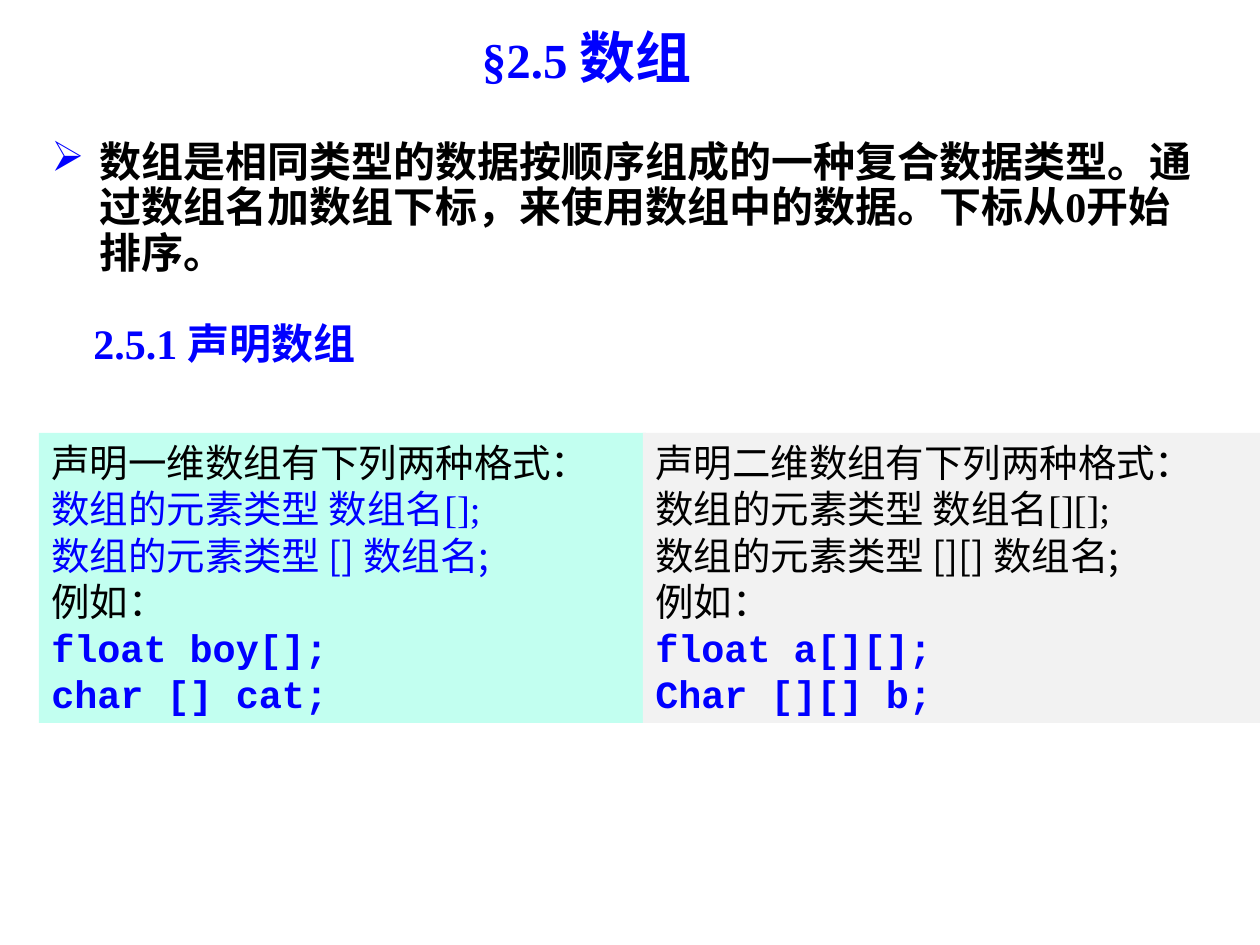
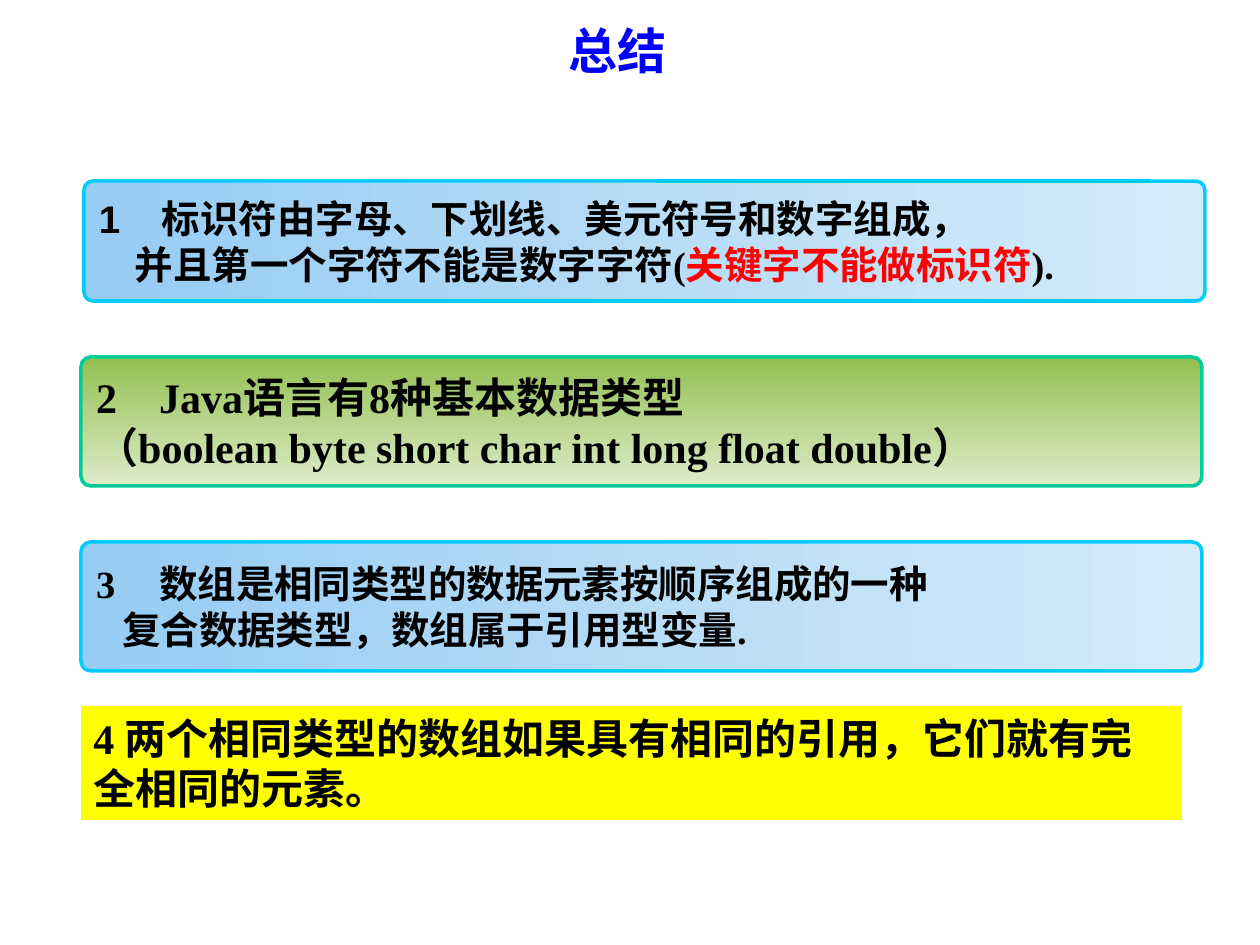
"""Build two lecture slides on arrays: declarations and a chapter summary."""
from lxml import etree
from pptx import Presentation
from pptx.dml.color import RGBColor
from pptx.enum.shapes import MSO_SHAPE
from pptx.enum.text import MSO_ANCHOR, PP_ALIGN
from pptx.oxml.ns import qn
from pptx.util import Pt

PIXEL = 914400 / 126
RECTANGLE = MSO_SHAPE.RECTANGLE
ROUNDED = MSO_SHAPE.ROUNDED_RECTANGLE
TOP, MIDDLE = MSO_ANCHOR.TOP, MSO_ANCHOR.MIDDLE
LEFT, CENTER = PP_ALIGN.LEFT, PP_ALIGN.CENTER
color = RGBColor.from_string

SERIF, SANS, CODE, CHINESE = "Times New Roman", "Arial", "Courier New", "Noto Sans CJK SC"
BLACK, BLUE, RED = "000000", "0000FF", "FF0000"
SKY = ("97CCF3", "D5EBFA")
LEAF = ("93C052", "DDEBC8")


def add_box(slide, place, kind=RECTANGLE, fills=(), angle=0, outline=None, anchor=TOP):
    shape = slide.shapes.add_shape(kind, *(round(value * PIXEL) for value in place))
    shape.shadow.inherit = False
    if len(fills) == 2:
        shape.fill.gradient()
        shape.fill.gradient_angle = angle
        for stop, value in zip(shape.fill.gradient_stops, fills):
            stop.color.rgb = color(value)
    elif fills:
        shape.fill.solid()
        shape.fill.fore_color.rgb = color(fills[0])
    else:
        shape.fill.background()
    if outline:
        shape.line.color.rgb = color(outline)
        shape.line.width = Pt(2)
    else:
        shape.line.fill.background()
    if kind == ROUNDED:
        shape.adjustments[0] = 0.076
    shape.text_frame.word_wrap = True
    shape.text_frame.vertical_anchor = anchor
    return shape.text_frame


def add_text(frame, *runs, size=22, font=SERIF, ink=BLACK, bold=True, align=LEFT,
             margin=0, hanging=0, spacing=1.0, before=0, bullet=None, bullet_ink=BLACK, tab=0):
    first = frame.paragraphs[0]
    paragraph = frame.add_paragraph() if first.runs else first
    paragraph.alignment = align
    paragraph.line_spacing = spacing
    paragraph.space_before = Pt(before)
    properties = paragraph._p.get_or_add_pPr()
    properties.set("marL", str(round(margin * PIXEL)))
    properties.set("indent", str(round(-hanging * PIXEL)))
    if bullet:
        tag, attributes = bullet
        bullet_color = etree.SubElement(properties, qn("a:buClr"))
        etree.SubElement(bullet_color, qn("a:srgbClr"), val=bullet_ink)
        etree.SubElement(properties, qn(tag), **attributes)
    else:
        etree.SubElement(properties, qn("a:buNone"))
    if tab:
        stops = etree.SubElement(properties, qn("a:tabLst"))
        etree.SubElement(stops, qn("a:tab"), pos=str(round(tab * PIXEL)), algn="l")
    for text, changes in runs:
        style = {"size": size, "font": font, "ink": ink} | changes
        run = paragraph.add_run()
        run.text = text
        run.font.size = Pt(style["size"])
        run.font.bold = bold
        run.font.name = style["font"]
        run.font.color.rgb = color(style["ink"])
        etree.SubElement(run._r.get_or_add_rPr(), qn("a:ea"), typeface=CHINESE)


presentation = Presentation()
presentation.slide_width = round(1260 * PIXEL)
presentation.slide_height = round(945 * PIXEL)
blank = presentation.slide_layouts[6]
arrays_slide, summary_slide = (presentation.slides.add_slide(blank) for _ in range(2))

titles = [
    (arrays_slide, (134, 9, 906, 94),
     [("§2.5 ", {}), ("数组", {"size": 32, "font": CHINESE})]),
    (summary_slide, (203, 16, 829, 67), [("总结", {})]),
]
for slide, place, runs in titles:
    add_text(add_box(slide, place, anchor=MIDDLE), *runs, size=28, ink=BLUE, align=CENTER)

definition = add_box(arrays_slide, (39, 135, 1181, 248))
add_text(definition,
         ("数组是相同类型的数据按顺序组成的一种复合数据类型。通过数组名加数组下标，"
          "来使用数组中的数据。下标从0开始排序。", {}),
         size=24, margin=48, hanging=48, spacing=0.9,
         bullet=("a:buChar", {"char": "➢"}), bullet_ink=BLUE)
add_text(definition, ("2.5.1 声明数组", {}), size=24, ink=BLUE, margin=42,
         spacing=0.9, before=26)

declarations = [
    (39, 607, "C2FFF0", "一", "[]", BLUE, "float boy[];", "char [] cat;"),
    (643, 617, "F2F2F2", "二", "[][]", BLACK, "float a[][];", "Char [][] b;"),
]
for left, width, fill, dimension, brackets, ink, *examples in declarations:
    frame = add_box(arrays_slide, (left, 433, width, 290), fills=[fill])
    add_text(frame, (f"声明{dimension}维数组有下列两种格式：", {}), bold=False)
    add_text(frame, (f"数组的元素类型 数组名{brackets};", {}), ink=ink, bold=False)
    add_text(frame, (f"数组的元素类型 {brackets} 数组名;", {}), font=CHINESE, ink=ink, bold=False)
    add_text(frame, ("例如：", {}), bold=False)
    for example in examples:
        add_text(frame, (example, {}), font=CODE, ink=BLUE)

identifiers = add_box(summary_slide, (84, 181, 1121, 120), ROUNDED, SKY,
                      outline="00CCFF", anchor=MIDDLE)
add_text(identifiers, ("1\t", {"font": SANS}),
         ("标识符由字母、下划线、美元符号和数字组成，", {}), tab=53)
add_text(identifiers, ("并且第一个字符不能是数字字符(", {}),
         ("关键字不能做标识符", {"ink": RED}), (").", {}), margin=36)

types = add_box(summary_slide, (81, 357, 1121, 129), ROUNDED, LEAF, angle=270,
                outline="00CC99", anchor=MIDDLE)
add_text(types, ("Java语言有8种基本数据类型", {}), size=24, margin=63, hanging=63,
         bullet=("a:buAutoNum", {"type": "arabicPlain", "startAt": "2"}))
add_text(types, ("（boolean byte short char int long float double）", {}), size=24,
         margin=63, hanging=63)

references = add_box(summary_slide, (81, 542, 1121, 129), ROUNDED, SKY,
                     outline="00CCFF", anchor=MIDDLE)
add_text(references, ("3\t数组是相同类型的数据元素按顺序组成的一种", {}), tab=48)
add_text(references, ("复合数据类型，数组属于引用型变量.", {}), margin=26)

equality = add_box(summary_slide, (81, 706, 1101, 114), fills=["FFFF00"])
add_text(equality, ("4 两个相同类型的数组如果具有相同的引用，它们就有完全相同的元素。", {}), size=24)

presentation.save("out.pptx")
